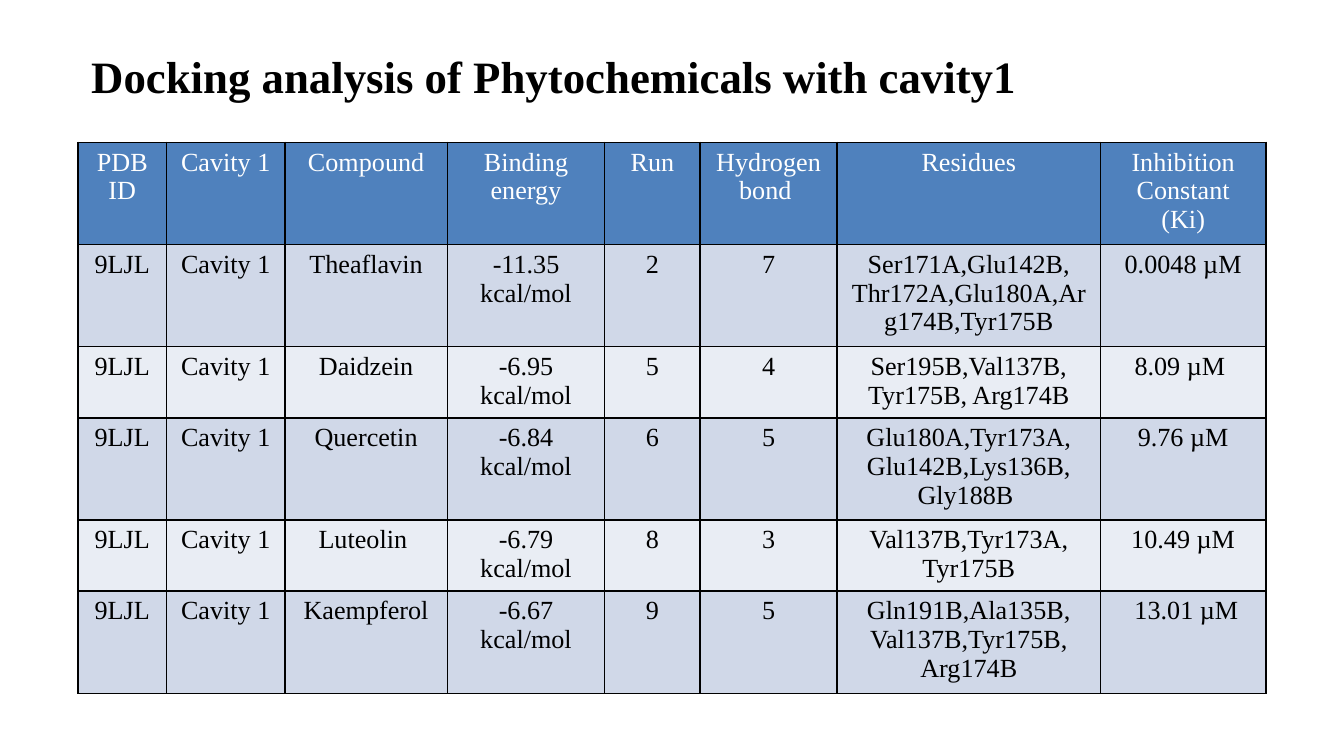
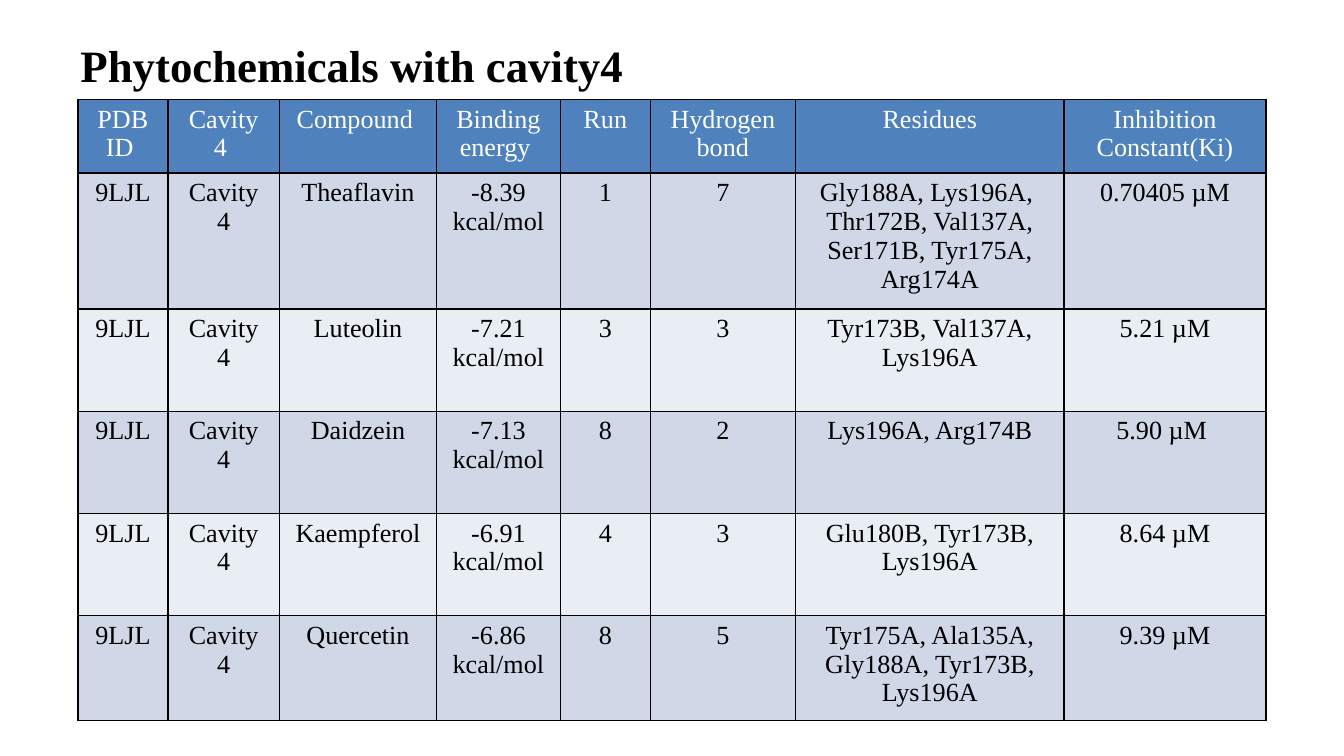
from lxml import etree
from pptx import Presentation
from pptx.dml.color import RGBColor
from pptx.enum.text import MSO_AUTO_SIZE, PP_ALIGN
from pptx.oxml.ns import qn
from pptx.util import Inches, Pt

FONT = "Times New Roman"
BLACK = RGBColor(0x00, 0x00, 0x00)
WHITE = RGBColor(0xFF, 0xFF, 0xFF)
HEADER_BLUE = RGBColor(0x4F, 0x81, 0xBD)
BANDS = [RGBColor(0xD0, 0xD8, 0xE8), RGBColor(0xE9, 0xED, 0xF4)]

PDB_ID = "9LJL"
ENERGY_UNIT = "kcal/mol"
TABLE_LEFT = 0.58

ANALYSES = [
    {
        "title": "Docking analysis of Phytochemicals with cavity1",
        "title_box": (0.58, 0.31, 9.42, 0.5),
        "title_wraps": True,
        "cavity": "Cavity 1",
        "table_top": 1.06,
        "columns": [0.66, 0.88, 1.21, 1.17, 0.71, 1.02, 1.96, 1.23],
        "rows": [0.76, 0.76, 0.53, 0.76, 0.53, 0.76],
        "header": ["PDB ID", "Cavity 1", "Compound", "Binding energy", "Run",
                   "Hydrogen bond ", "Residues", "Inhibition Constant\n(Ki)"],
        "results": [
            ("Theaflavin", "-11.35", "2", "7",
             "Ser171A,Glu142B,\nThr172A,Glu180A,Arg174B,Tyr175B", "0.0048 µM"),
            ("Daidzein", "-6.95", "5", "4",
             "Ser195B,Val137B, Tyr175B, Arg174B", "8.09 µM "),
            ("Quercetin", "-6.84", "6", "5",
             "Glu180A,Tyr173A, Glu142B,Lys136B, Gly188B ", "9.76 µM"),
            ("Luteolin ", "-6.79", "8", "3",
             "Val137B,Tyr173A, Tyr175B", "10.49 µM"),
            ("Kaempferol", "-6.67", "9", "5",
             "Gln191B,Ala135B, Val137B,Tyr175B, Arg174B", " 13.01 µM"),
        ],
    },
    {
        "title": "Phytochemicals with cavity4",
        "title_box": (0.5, 0.23, 4.28, 0.5),
        "title_wraps": False,
        "cavity": "Cavity 4",
        "table_top": 0.74,
        "columns": [0.67, 0.83, 1.17, 0.92, 0.67, 1.08, 2, 1.5],
        "rows": [0.53, 0.99, 0.76, 0.76, 0.76, 0.76],
        "header": ["PDB ID ", "Cavity 4 ", "Compound ", "Binding energy ", "Run",
                   "Hydrogen bond", "Residues", "Inhibition Constant(Ki)"],
        "results": [
            ("Theaflavin", "-8.39", "1", "7",
             "Gly188A, Lys196A,  Thr172B, Val137A, Ser171B, Tyr175A, Arg174A",
             "0.70405 µM"),
            ("Luteolin", "-7.21", "3", "3",
             "Tyr173B, Val137A, Lys196A", "5.21 µM"),
            ("Daidzein", "-7.13", "8", "2", "Lys196A, Arg174B", "5.90 µM "),
            ("Kaempferol", "-6.91", "4", "3",
             "Glu180B, Tyr173B, Lys196A", "8.64 µM"),
            ("Quercetin", "-6.86", "8", "5",
             "Tyr175A, Ala135A, Gly188A, Tyr173B, Lys196A", "9.39 µM"),
        ],
    },
]


def style_text(frame, size, color, bold=False, align=PP_ALIGN.LEFT):
    for paragraph in frame.paragraphs:
        paragraph.alignment = align
        for run in paragraph.runs:
            run.font.name = FONT
            run.font.size = Pt(size)
            run.font.bold = bold
            run.font.color.rgb = color


def add_borders(cell):
    properties = cell._tc.get_or_add_tcPr()
    for position, side in enumerate(("a:lnL", "a:lnR", "a:lnT", "a:lnB")):
        border = etree.Element(qn(side), w=str(Pt(1)))
        fill = etree.SubElement(border, qn("a:solidFill"))
        etree.SubElement(fill, qn("a:srgbClr"), val=str(BLACK))
        properties.insert(position, border)


def fill_cell(cell, text, background, color):
    cell.text_frame.text = text
    style_text(cell.text_frame, 14, color, align=PP_ALIGN.CENTER)
    cell.margin_left = cell.margin_right = Inches(0.1)
    cell.margin_top = cell.margin_bottom = Inches(0.04)
    cell.fill.solid()
    cell.fill.fore_color.rgb = background
    add_borders(cell)


def add_results(slide, analysis):
    columns, heights = analysis["columns"], analysis["rows"]
    table = slide.shapes.add_table(
        len(heights), len(columns), Inches(TABLE_LEFT), Inches(analysis["table_top"]),
        Inches(sum(columns)), Inches(sum(heights))).table
    for column, width in zip(table.columns, columns):
        column.width = Inches(width)
    for row, height in zip(table.rows, heights):
        row.height = Inches(height)

    lines = [analysis["header"]]
    for compound, energy, *rest in analysis["results"]:
        lines.append([PDB_ID, analysis["cavity"], compound,
                      f"{energy} {ENERGY_UNIT}", *rest])
    for index, line in enumerate(lines):
        if index == 0:
            background, color = HEADER_BLUE, WHITE
        else:
            background, color = BANDS[(index - 1) % 2], BLACK
        for cell, text in zip(table.rows[index].cells, line):
            fill_cell(cell, text, background, color)


def add_title(slide, analysis):
    title = slide.shapes.add_textbox(*map(Inches, analysis["title_box"])).text_frame
    title.word_wrap = analysis["title_wraps"]
    title.auto_size = MSO_AUTO_SIZE.SHAPE_TO_FIT_TEXT
    title.text = analysis["title"]
    style_text(title, 24, BLACK, bold=True)


def main():
    deck = Presentation()
    deck.slide_width = Inches(10)
    deck.slide_height = deck.slide_width * 9 // 16
    for analysis in ANALYSES:
        slide = deck.slides.add_slide(deck.slide_layouts[6])
        add_results(slide, analysis)
        add_title(slide, analysis)
    deck.save("out.pptx")


if __name__ == "__main__":
    main()
